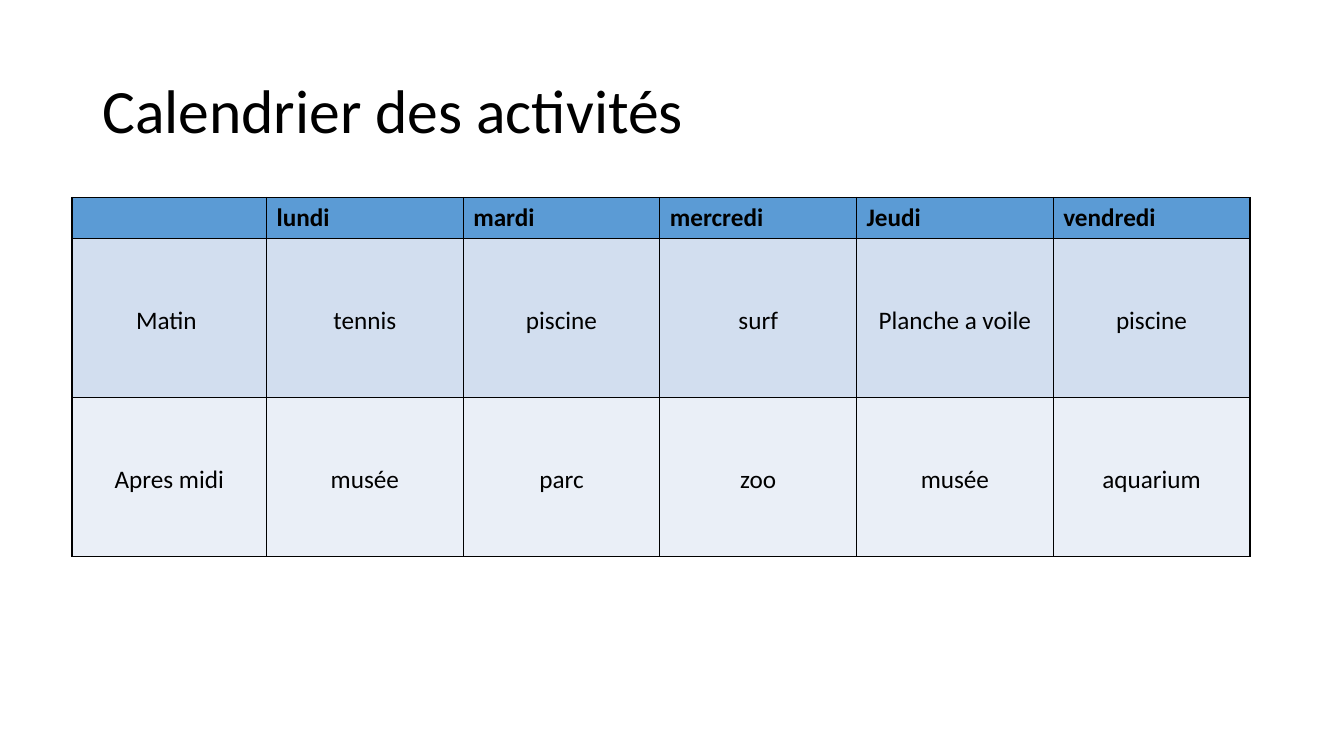
from dataclasses import dataclass

import pptx
import pptx.dml.color
import pptx.enum.text
import pptx.oxml
import pptx.oxml.ns
import pptx.util

Pt = pptx.util.Pt
Align = pptx.enum.text.PP_ALIGN
Anchor = pptx.enum.text.MSO_ANCHOR


@dataclass(frozen=True)
class Theme:
    font: str = "Calibri"
    title_size: float = 44
    table_size: float = 18
    text: str = "000000"
    border: str = "000000"
    border_width: float = 1
    header_fill: str = "5B9BD5"
    row_fills: tuple = ("D2DEEF", "EAEFF7")


THEME = Theme()

DAYS = ["", "lundi", "mardi", "mercredi", "Jeudi", "vendredi"]
ACTIVITIES = [
    ["Matin ", "tennis", "piscine", "surf", "Planche a voile", "piscine"],
    ["Apres midi", "musée", "parc", "zoo", "musée", "aquarium"],
]


def color(value):
    return pptx.dml.color.RGBColor.from_string(value)


def write_text(text_frame, text, size, bold=False, align=Align.LEFT, line_spacing=1.0):
    paragraph = text_frame.paragraphs[0]
    paragraph.alignment = align
    paragraph.line_spacing = line_spacing
    paragraph.font.size = Pt(size)
    if not text:
        return
    run = paragraph.add_run()
    run.text = text
    run.font.name = THEME.font
    run.font.size = Pt(size)
    run.font.bold = bold
    run.font.color.rgb = color(THEME.text)


def set_borders(cell):
    properties = cell._tc.get_or_add_tcPr()
    namespace = pptx.oxml.ns.nsdecls("a")
    for index, side in enumerate(("lnL", "lnR", "lnT", "lnB")):
        line = pptx.oxml.parse_xml(
            f'<a:{side} {namespace} w="{Pt(THEME.border_width)}"><a:solidFill>'
            f'<a:srgbClr val="{THEME.border}"/></a:solidFill></a:{side}>'
        )
        properties.insert(index, line)


def add_title(slide, left, top, width, height):
    box = slide.shapes.add_textbox(Pt(left), Pt(top), Pt(width), Pt(height))
    box.text_frame.word_wrap = True
    box.text_frame.vertical_anchor = Anchor.MIDDLE
    write_text(box.text_frame, "Calendrier des activités",
               size=THEME.title_size, line_spacing=0.9)


def add_calendar(slide, left, top, width, height, label_width=139, header_height=29.5):
    """Place the week table: a label column, then equal day columns."""
    rows = [DAYS] + ACTIVITIES
    table = slide.shapes.add_table(
        len(rows), len(DAYS), Pt(left), Pt(top), Pt(width), Pt(height)
    ).table
    day_width = (width - label_width) / (len(DAYS) - 1)
    for index, column in enumerate(table.columns):
        column.width = Pt(day_width if index else label_width)
    activity_height = (height - header_height) / len(ACTIVITIES)
    for index, row in enumerate(table.rows):
        row.height = Pt(activity_height if index else header_height)

    header_format = dict(bold=True)
    activity_format = dict(align=Align.CENTER, line_spacing=3.0)
    fills = (THEME.header_fill,) + THEME.row_fills
    for row_index, (texts, fill) in enumerate(zip(rows, fills)):
        text_format = activity_format if row_index else header_format
        for column_index, text in enumerate(texts):
            cell = table.cell(row_index, column_index)
            cell.fill.solid()
            cell.fill.fore_color.rgb = color(fill)
            set_borders(cell)
            write_text(cell.text_frame, text, size=THEME.table_size, **text_format)


def main():
    presentation = pptx.Presentation()
    presentation.slide_width = Pt(960)
    presentation.slide_height = Pt(540)
    slide = presentation.slides.add_slide(presentation.slide_layouts[6])
    add_title(slide, left=66, top=28.75, width=828, height=104.4)
    add_calendar(slide, left=51.4, top=141.1, width=841.5, height=256.3)
    presentation.save("out.pptx")


if __name__ == "__main__":
    main()
